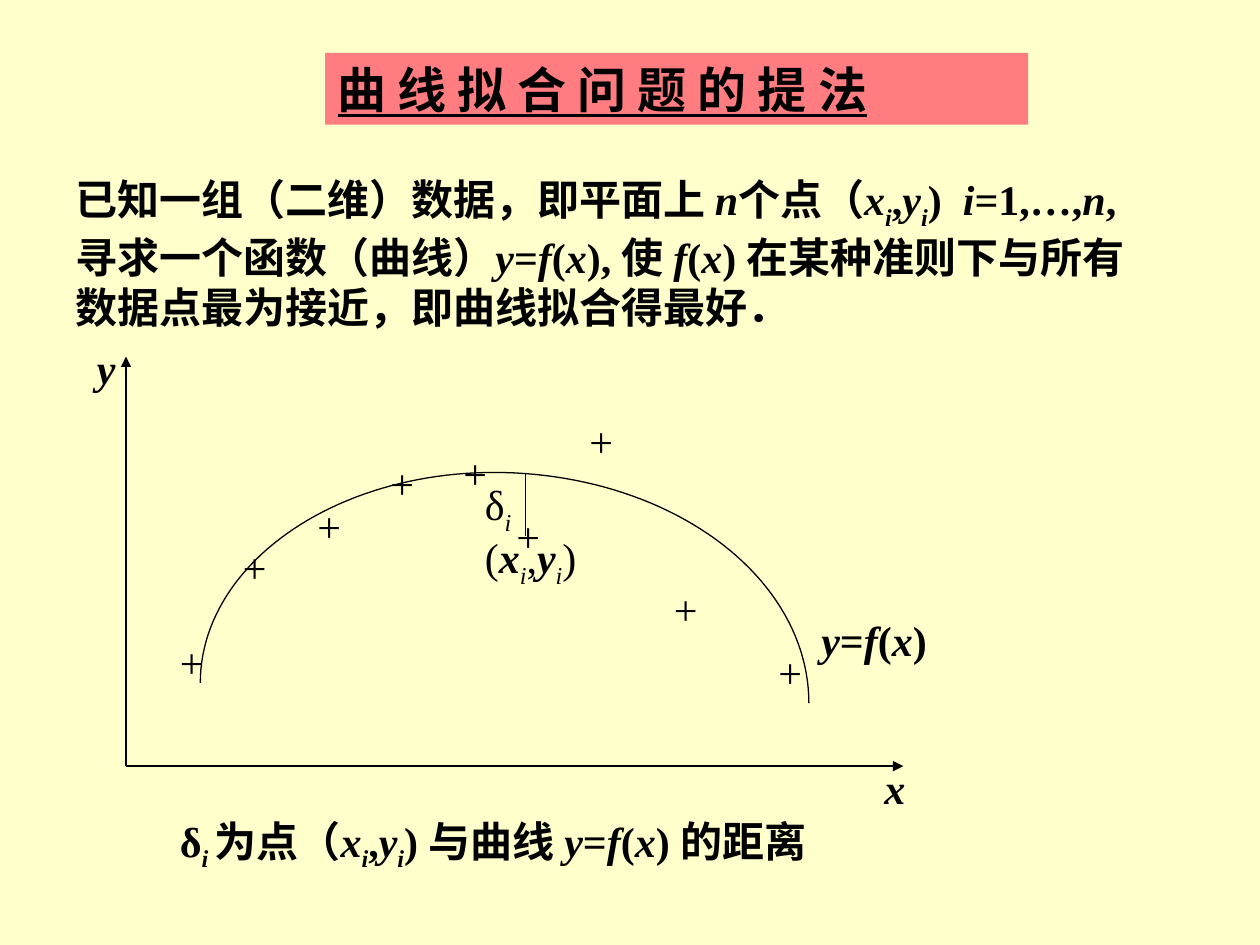
from math import cos, pi, sin

from lxml.etree import SubElement
from pptx import Presentation
from pptx.dml.color import RGBColor
from pptx.enum.shapes import MSO_CONNECTOR as CONN
from pptx.enum.text import MSO_ANCHOR as ANCHOR, MSO_AUTO_SIZE as FIT, PP_ALIGN as ALIGN
from pptx.oxml.ns import qn
from pptx.util import Inches, Pt

CREAM = RGBColor(0xFF, 0xFF, 0xCC)
CORAL = RGBColor(0xFF, 0x7C, 0x80)
BLACK = RGBColor(0, 0, 0)
LATIN = "Times New Roman"
CJK = "Noto Sans CJK SC"


class Board:
    def __init__(self, prs):
        self.s = prs.slides.add_slide(prs.slide_layouts[5])
        self.s.background.fill.solid()
        self.s.background.fill.fore_color.rgb = CREAM

    def set_runs(self, sp, runs, size=24):
        tf = sp.text_frame
        tf.word_wrap = True
        tf.auto_size = FIT.NONE
        tf.vertical_anchor = ANCHOR.TOP
        p = tf.paragraphs[0]
        p.alignment = ALIGN.LEFT
        for text, style in runs:
            r = p.add_run()
            r.text = text
            f = r.font
            f.size = Pt(size)
            f.color.rgb = BLACK
            f.bold = "b" in style
            f.italic = "i" in style
            f.underline = "u" in style
            f.name = CJK if "c" in style else LATIN
            rPr = f._element
            SubElement(rPr, qn("a:ea")).set("typeface", CJK)
            if "s" in style:
                rPr.set("baseline", "-25000")

    def title(self, text, x, y, w, h):
        sp = self.s.shapes.title
        sp.left, sp.top, sp.width, sp.height = map(Inches, (x, y, w, h))
        sp.fill.solid()
        sp.fill.fore_color.rgb = CORAL
        self.set_runs(sp, [(text, "bcu")], 28)

    def text(self, runs, x, y, w, h=0.5):
        self.set_runs(self.s.shapes.add_textbox(*map(Inches, (x, y, w, h))), runs)

    def line(self, x1, y1, x2, y2, arrow=False):
        c = self.s.shapes.add_connector(CONN.STRAIGHT, *map(Inches, (x1, y1, x2, y2)))
        c.line.color.rgb = BLACK
        c.line.width = Pt(0.75)
        spPr = c._element.spPr
        if arrow:
            SubElement(spPr.find(qn("a:ln")), qn("a:tailEnd")).set("type", "triangle")
        SubElement(spPr, qn("a:effectLst"))

    def quarter_arc(self, x, top, rx, ry, steps=48):
        angles = [pi / 2 * k / steps for k in range(steps + 1)]
        points = [(Inches(x + rx * sin(a)), Inches(top + ry * (1 - cos(a)))) for a in angles]
        fb = self.s.shapes.build_freeform(*points[0])
        fb.add_line_segments(points[1:], close=False)
        sp = fb.convert_to_shape()
        sp.shadow.inherit = False
        sp.fill.background()
        sp.line.color.rgb = BLACK
        sp.line.width = Pt(0.75)


def point(weight):
    return [("x", "bi"), ("i", weight + "is"), (",", weight), ("y", "bi"), ("i", weight + "is")]


F_X = [("f", "bi"), ("(", "b"), ("x", "bi"), (")", "b")]
Y_F_X = [("y", "bi"), ("=", "b")] + F_X
PROBLEM = [
    ("已知一组（二维）数据，即平面上 ", "bc"), ("n", "bi"), ("个点", "bc"), ("（", "b"),
    *point("b"), (")  ", "b"), ("i", "bi"), ("=1,…,", "b"), ("n", "bi"), (", ", "b"),
    ("寻求一个函数（曲线）", "bc"), *Y_F_X, (", ", "b"), ("使 ", "bc"), *F_X, (" ", "b"),
    ("在某种准则下与所有数据点最为接近，即曲线拟合得最好．", "bc"),
]
DISTANCE = [
    ("δ", "b"), ("i ", "bis"), ("为点（", "b"), *point("b"), (") 与", "b"),
    ("曲线 ", "bc"), *Y_F_X, (" 的距离", "b"),
]
DATA_POINTS = [
    (1.33, 5), (2.42, 3.92), (1.83, 4.25), (3, 3.58), (3.58, 3.5),
    (4, 4), (4.58, 3.25), (5.25, 4.58), (6.08, 5.08),
]


def main():
    prs = Presentation()
    prs.slide_width, prs.slide_height = Inches(10), Inches(7.5)
    board = Board(prs)
    board.title("曲 线 拟 合 问 题 的 提 法", 2.58, 0.42, 5.58, 0.57)
    board.text(PROBLEM, 0.5, 1.33, 8.83, 1.3)
    for x, y in DATA_POINTS:
        board.text([("+", "")], x, y, 0.58)
    board.line(1, 6.08, 7.17, 6.08, arrow=True)
    board.line(1, 6.08, 1, 2.83, arrow=True)
    board.text([("x", "bi")], 6.92, 6, 0.67)
    board.text([("y", "bi")], 0.67, 2.67, 0.5)
    board.quarter_arc(3.92, 3.75, -2.33, 1.67)
    board.quarter_arc(3.92, 3.75, 2.5, 1.83)
    board.text(Y_F_X, 6.42, 4.83, 1.58)
    board.text([("(", ""), *point(""), (")", "")], 3.75, 4.17, 1)
    board.line(4.17, 4.25, 4.17, 3.75)
    board.text([("δ", ""), ("i", "is")], 3.75, 3.75, 0.58)
    board.text(DISTANCE, 1.33, 6.42, 5.42)
    prs.save("out.pptx")


if __name__ == "__main__":
    main()
